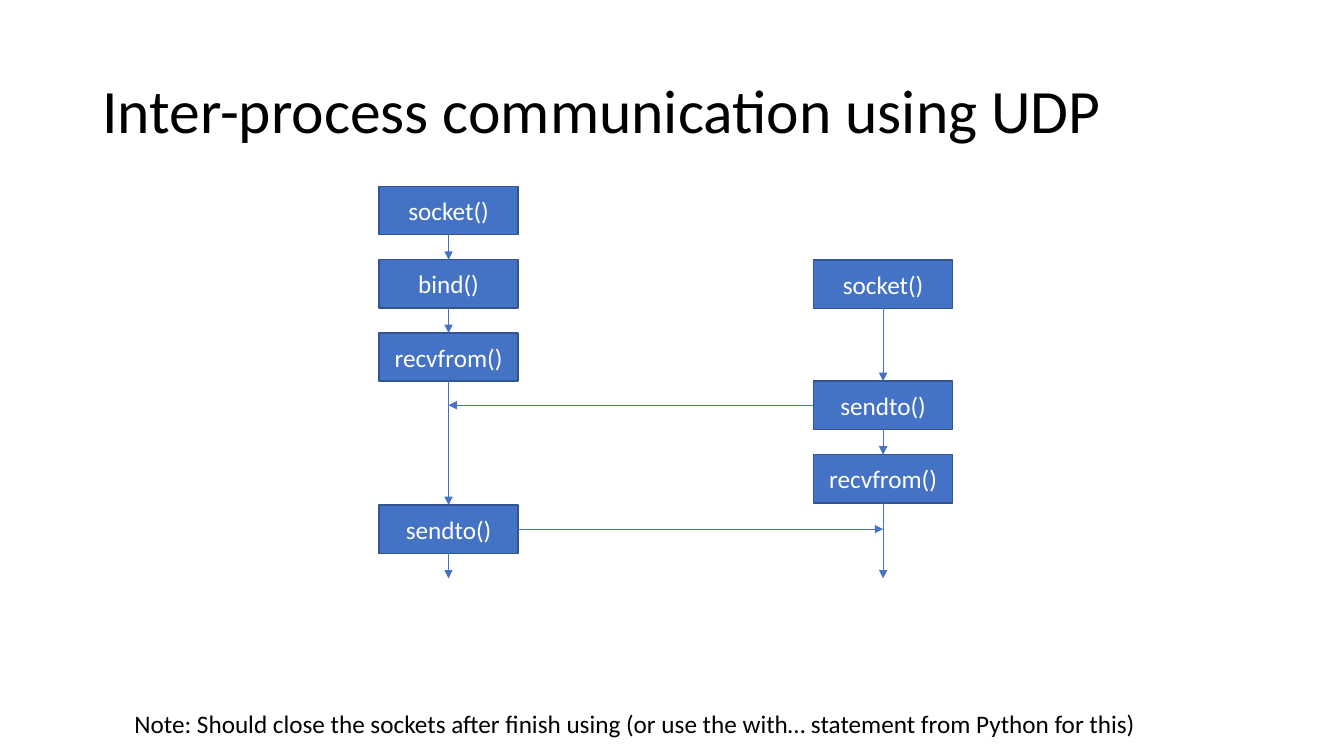
from dataclasses import dataclass

from lxml.etree import SubElement
from pptx import Presentation
from pptx.dml.color import RGBColor
from pptx.enum.shapes import MSO_CONNECTOR, MSO_SHAPE
from pptx.enum.text import MSO_ANCHOR, MSO_AUTO_SIZE, PP_ALIGN
from pptx.oxml.ns import qn
from pptx.util import Pt


@dataclass(frozen=True)
class Theme:
    font: str = "Calibri"
    title_size: int = 44
    text_size: int = 18
    text: RGBColor = RGBColor(0, 0, 0)
    call_text: RGBColor = RGBColor(255, 255, 255)
    accent: RGBColor = RGBColor(0x44, 0x72, 0xC4)
    outline: RGBColor = RGBColor(0x32, 0x54, 0x91)


THEME = Theme()
CALL_W, CALL_H = 99.4, 34.5
SERVER = [("socket()", 0), ("bind()", 52.3), ("recvfrom()", 104.6), ("sendto()", 227.5)]
CLIENT = [("socket()", 52.5), ("sendto()", 139), ("recvfrom()", 191.5)]


def write(tf, text, size, color, align):
    tf.text = text
    p = tf.paragraphs[0]
    p.alignment = align
    font = p.runs[0].font
    font.name, font.size, font.color.rgb = THEME.font, Pt(size), color


def add_title(s, x, y, w, h):
    sp = s.shapes.title
    sp.left, sp.top, sp.width, sp.height = Pt(x), Pt(y), Pt(w), Pt(h)
    tf = sp.text_frame
    write(tf, "Inter-process communication using UDP", THEME.title_size, THEME.text, PP_ALIGN.LEFT)
    tf.vertical_anchor = MSO_ANCHOR.MIDDLE
    tf.auto_size = MSO_AUTO_SIZE.NONE
    tf.paragraphs[0].line_spacing = 0.9


def add_call(s, text, x, y):
    sp = s.shapes.add_shape(MSO_SHAPE.RECTANGLE, Pt(x), Pt(y), Pt(CALL_W), Pt(CALL_H))
    sp.shadow.inherit = False
    sp.fill.solid()
    sp.fill.fore_color.rgb = THEME.accent
    sp.line.color.rgb = THEME.outline
    sp.line.width = Pt(1)
    write(sp.text_frame, text, THEME.text_size, THEME.call_text, PP_ALIGN.CENTER)
    sp.text_frame.vertical_anchor = MSO_ANCHOR.MIDDLE
    return sp


def add_arrow(s, start, side, x, y, end=None):
    c = s.shapes.add_connector(MSO_CONNECTOR.STRAIGHT, 0, 0, Pt(x), Pt(y))
    c.begin_connect(start, side)
    if end is not None:
        c.end_connect(end, 0)
    c.line.color.rgb = THEME.accent
    c.line.width = Pt(0.5)
    SubElement(c.line._get_or_add_ln(), qn("a:tailEnd"), type="triangle")
    SubElement(c._element.spPr, qn("a:effectLst"))


def add_process(s, calls, x, y, h):
    boxes = [add_call(s, text, x, y + dy) for text, dy in calls]
    mid = x + CALL_W / 2
    for start, end in zip(boxes, boxes[1:]):
        add_arrow(s, start, 2, mid, end.top.pt, end)
    add_arrow(s, boxes[-1], 2, mid, y + h)
    return boxes


def add_exchange(s, x, y, w, h):
    client_x = x + w - CALL_W
    server = add_process(s, SERVER, x, y, h)
    client = add_process(s, CLIENT, client_x, y, h)
    request, reply = client[1], server[3]
    add_arrow(s, request, 1, x + CALL_W / 2, request.top.pt + CALL_H / 2)
    add_arrow(s, reply, 3, client_x + CALL_W / 2, reply.top.pt + CALL_H / 2)


def add_note(s, x, y, w, h):
    tf = s.shapes.add_textbox(Pt(x), Pt(y), Pt(w), Pt(h)).text_frame
    tf.word_wrap = False
    tf.auto_size = MSO_AUTO_SIZE.SHAPE_TO_FIT_TEXT
    write(tf, "Note: Should close the sockets after finish using "
          "(or use the with… statement from Python for this)",
          THEME.text_size, THEME.text, PP_ALIGN.LEFT)


def main():
    prs = Presentation()
    prs.slide_width, prs.slide_height = Pt(960), Pt(540)
    s = prs.slides.add_slide(prs.slide_layouts[5])
    add_title(s, 66, 28.75, 828, 104.4)
    add_exchange(s, 270.7, 133.2, 409.8, 280)
    add_note(s, 88.9, 502.6, 733, 29)
    prs.save("out.pptx")


if __name__ == "__main__":
    main()
